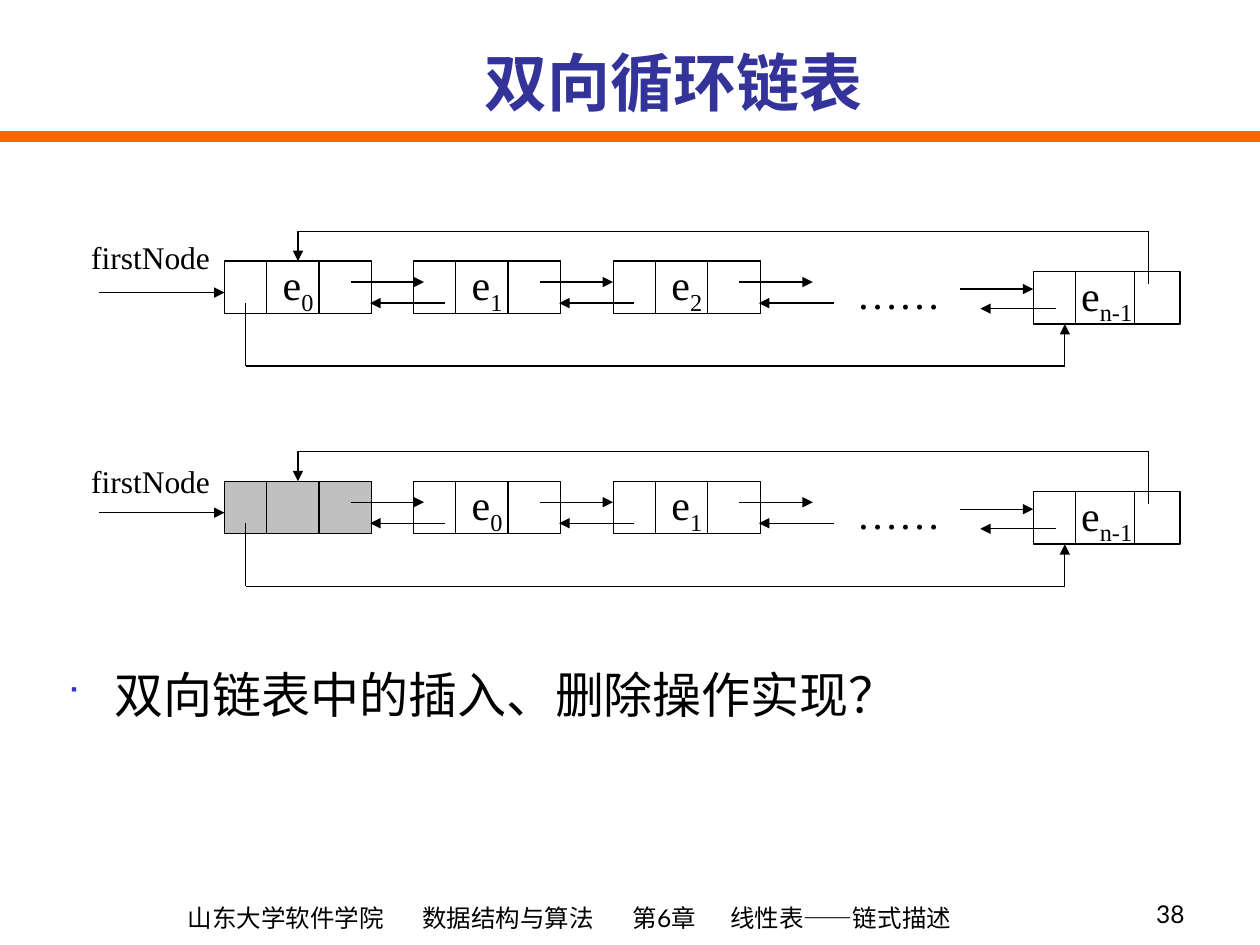
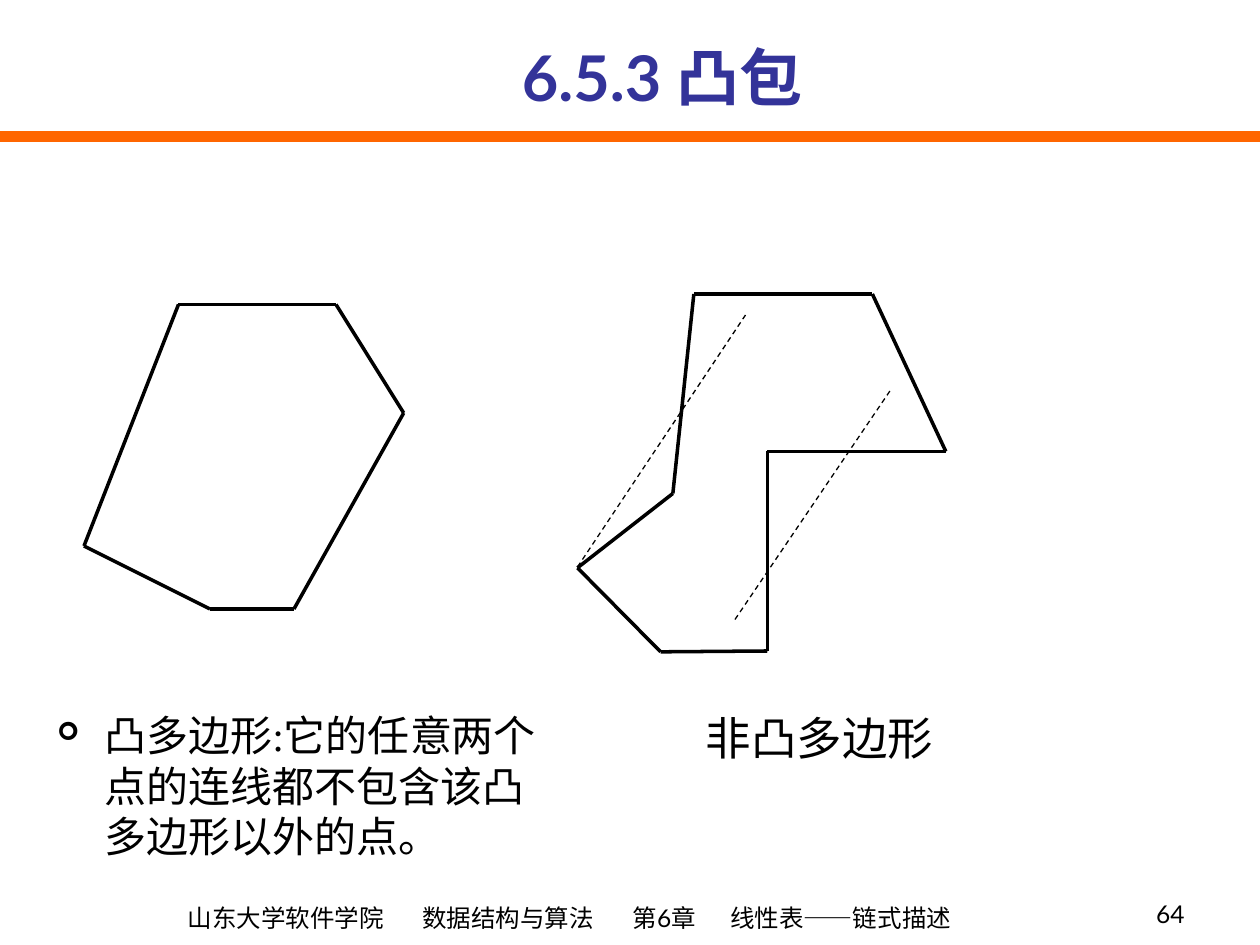
import pptx
import pptx.dml.color
import pptx.enum.dml
import pptx.enum.shapes
import pptx.enum.text
import pptx.oxml.ns
import pptx.util
from lxml import etree

Pt = pptx.util.Pt
ALIGN = pptx.enum.text.PP_ALIGN
ANCHOR = pptx.enum.text.MSO_ANCHOR

COLORS = {
    "ink": "000000",
    "title": "333399",
    "band": "FF6600",
    "bullet": "3333CC",
    "head": "C0C0C0",
}
SANS, SERIF, HAN = "Lato", "Times New Roman", "Noto Sans CJK SC"

NODE_W, NODE_H = 84, 30
NODE_XS = (128.3, 236.3, 350.5)
LAST_X, LAST_DROP = 590.4, 6


def rgb(name):
    return pptx.dml.color.RGBColor.from_string(COLORS[name])


def add_xml(parent, tag, **attributes):
    return etree.SubElement(parent, pptx.oxml.ns.qn(tag), attributes)


def style_font(paragraph, size, latin, han=HAN, color="ink", bold=False):
    font = paragraph.font
    font.size, font.bold = Pt(size), bold
    font.color.rgb = rgb(color)
    font.name = latin
    properties = paragraph._p.get_or_add_pPr().find(pptx.oxml.ns.qn("a:defRPr"))
    add_xml(properties, "a:ea", typeface=han)


def add_bullet(paragraph, mark, color):
    properties = paragraph._p.get_or_add_pPr()
    properties.set("marL", str(Pt(27)))
    properties.set("indent", str(-Pt(27)))
    add_xml(add_xml(properties, "a:buClr"), "a:srgbClr", val=COLORS[color])
    add_xml(properties, "a:buSzPct", val="60000")
    add_xml(properties, "a:buFont", typeface="Wingdings", charset="2")
    add_xml(properties, "a:buChar", char=mark)


def add_tabs(paragraph, stops):
    tab_list = add_xml(paragraph._p.get_or_add_pPr(), "a:tabLst")
    for stop in stops:
        add_xml(tab_list, "a:tab", pos=str(Pt(stop)), algn="l")


def add_text(slide, text, box, size, latin, han=HAN, color="ink", bold=False,
             align=ALIGN.LEFT, anchor=ANCHOR.TOP, bullet=None, tabs=()):
    frame = slide.shapes.add_textbox(*map(Pt, box)).text_frame
    frame.word_wrap = True
    frame.vertical_anchor = anchor
    paragraph = frame.paragraphs[0]
    paragraph.text = text
    paragraph.alignment = align
    if bullet:
        add_bullet(paragraph, *bullet)
    if tabs:
        add_tabs(paragraph, tabs)
    style_font(paragraph, size, latin, han, color, bold)


def add_line(slide, start, end, width=0.75, color="ink", arrow=False, dash=False):
    line = slide.shapes.add_connector(
        pptx.enum.shapes.MSO_CONNECTOR.STRAIGHT, *map(Pt, (*start, *end)))
    line.line.width = Pt(width)
    line.line.color.rgb = rgb(color)
    if dash:
        line.line.dash_style = pptx.enum.dml.MSO_LINE.DASH
    if arrow:
        add_xml(line.line._get_or_add_ln(), "a:tailEnd", type="triangle")
    add_xml(line._element.spPr, "a:effectLst")
    return line


def add_path(slide, points, width=0.75, arrow=False):
    """Chain of straight lines; returns the last one."""
    for start, end in zip(points, points[1:]):
        line = add_line(slide, start, end, width, arrow=arrow and end == points[-1])
    return line


def add_polygon(slide, corners):
    add_path(slide, corners + corners[:1], width=2)


def add_node(slide, x, y, index, dividers=(24, 54)):
    """Three-field list node; a node without an index is the grey head."""
    node = slide.shapes.add_shape(
        pptx.enum.shapes.MSO_SHAPE.RECTANGLE, *map(Pt, (x, y, NODE_W, NODE_H)))
    node.shadow.inherit = False
    node.line.width = Pt(0.75)
    node.line.color.rgb = rgb("ink")
    if index is None:
        node.fill.solid()
        node.fill.fore_color.rgb = rgb("head")
    else:
        node.fill.background()
        node.text_frame.word_wrap = False
        node.text_frame.vertical_anchor = ANCHOR.MIDDLE
        element = node.text_frame.paragraphs[0]
        element.alignment = ALIGN.CENTER
        element.add_run().text = "e"
        subscript = element.add_run()
        subscript.text = index
        subscript._r.get_or_add_rPr().set("baseline", "-25000")
        style_font(element, 24, SERIF)
    for divider in dividers:
        add_line(slide, (x + divider, y), (x + divider, y + NODE_H))
    return node


def add_circular_list(slide, y, indexes, label_y):
    # Nodes with their next and previous links
    nodes = []
    for x, index in zip(NODE_XS, indexes):
        nodes.append(add_node(slide, x, y, index))
        add_line(slide, (x + 72, y + 12), (x + 114, y + 12), arrow=True)
        add_line(slide, (x + 126, y + 24), (x + 83.2, y + 24), arrow=True)
    add_text(slide, "……", (482.4, y, 72, 36), 24, SERIF, SERIF)
    add_node(slide, LAST_X, y + LAST_DROP, "n-1", (24, 58))
    add_line(slide, (548.5, y + 16), (LAST_X, y + 16), arrow=True)
    add_line(slide, (603.2, y + 27.2), (560.2, y + 27.2), arrow=True)

    # Links that close the circle
    first_x, last_x = 140.5, 608.5
    add_path(slide, [(first_x, y + 24), (first_x, y + 60), (last_x, y + 60),
                     (last_x, y + LAST_DROP + NODE_H)], arrow=True)
    head_x = NODE_XS[0] + NODE_W / 2
    to_head = add_path(slide, [(656.5, y + 13), (656.5, y - 17), (head_x, y - 17),
                               (head_x, y)], arrow=True)
    to_head.end_connect(nodes[0], 0)

    # Entry pointer
    add_line(slide, (56.3, y + 18), (NODE_XS[0], y + 18), arrow=True)
    add_text(slide, "firstNode", (45, label_y, 89, 29), 18, SERIF)


def add_page(deck, title, title_box, latin, number):
    slide = deck.slides.add_slide(deck.slide_layouts[6])
    add_line(slide, (0, 78), (720, 78), width=6, color="band")
    add_text(slide, "山东大学软件学院\t数据结构与算法\t第6章\t线性表——链式描述",
             (100.2, 500.4, 504, 36), 14, SANS, anchor=ANCHOR.BOTTOM,
             tabs=(134, 254.2, 310))
    add_text(slide, number, (534, 498.2, 150, 36), 14, SANS,
             align=ALIGN.RIGHT, anchor=ANCHOR.BOTTOM)
    add_text(slide, title, title_box, 36, latin, color="title", bold=True,
             align=ALIGN.CENTER, anchor=ANCHOR.BOTTOM)
    return slide


def build_linked_list(deck):
    slide = add_page(deck, "双向循环链表", (84, 0, 602, 71.8), HAN, "38")
    add_circular_list(slide, 149.2, ("0", "1", "2"), 132.5)
    add_circular_list(slide, 275, (None, "0", "1"), 260.6)
    add_text(slide, "双向链表中的插入、删除操作实现？", (31.4, 376.2, 655, 49.7),
             28, SANS, bullet=("■", "bullet"))


def build_convex_hull(deck):
    slide = add_page(deck, "6.5.3 凸包", (37, 21, 683, 48), SANS, "64")

    # Convex polygon
    add_polygon(slide, [(48, 312), (102, 174), (192, 174), (230.7, 236),
                        (168, 348), (120, 348)])
    add_text(slide, "凸多边形:它的任意两个点的连线都不包含该凸多边形以外的点。",
             (25.5, 402, 294.5, 93.6), 24, SERIF, bullet=("➢", "ink"))

    # Non-convex polygon, with chords that leave it
    add_polygon(slide, [(396.5, 168), (498.5, 168), (540.5, 258), (438.5, 258),
                        (438.5, 372), (377.5, 372.5), (330, 324.5), (384.5, 282)])
    add_line(slide, (330, 324), (426, 180), dash=True)
    add_line(slide, (420, 354), (509.5, 222), dash=True)
    add_text(slide, "非凸多边形", (354.2, 402, 228.2, 38.9), 26,
             "Noto Sans CJK KR", "Noto Sans CJK KR", align=ALIGN.CENTER)


def main():
    deck = pptx.Presentation()
    deck.slide_width, deck.slide_height = Pt(720), Pt(540)
    build_linked_list(deck)
    build_convex_hull(deck)
    deck.save("out.pptx")


if __name__ == "__main__":
    main()
